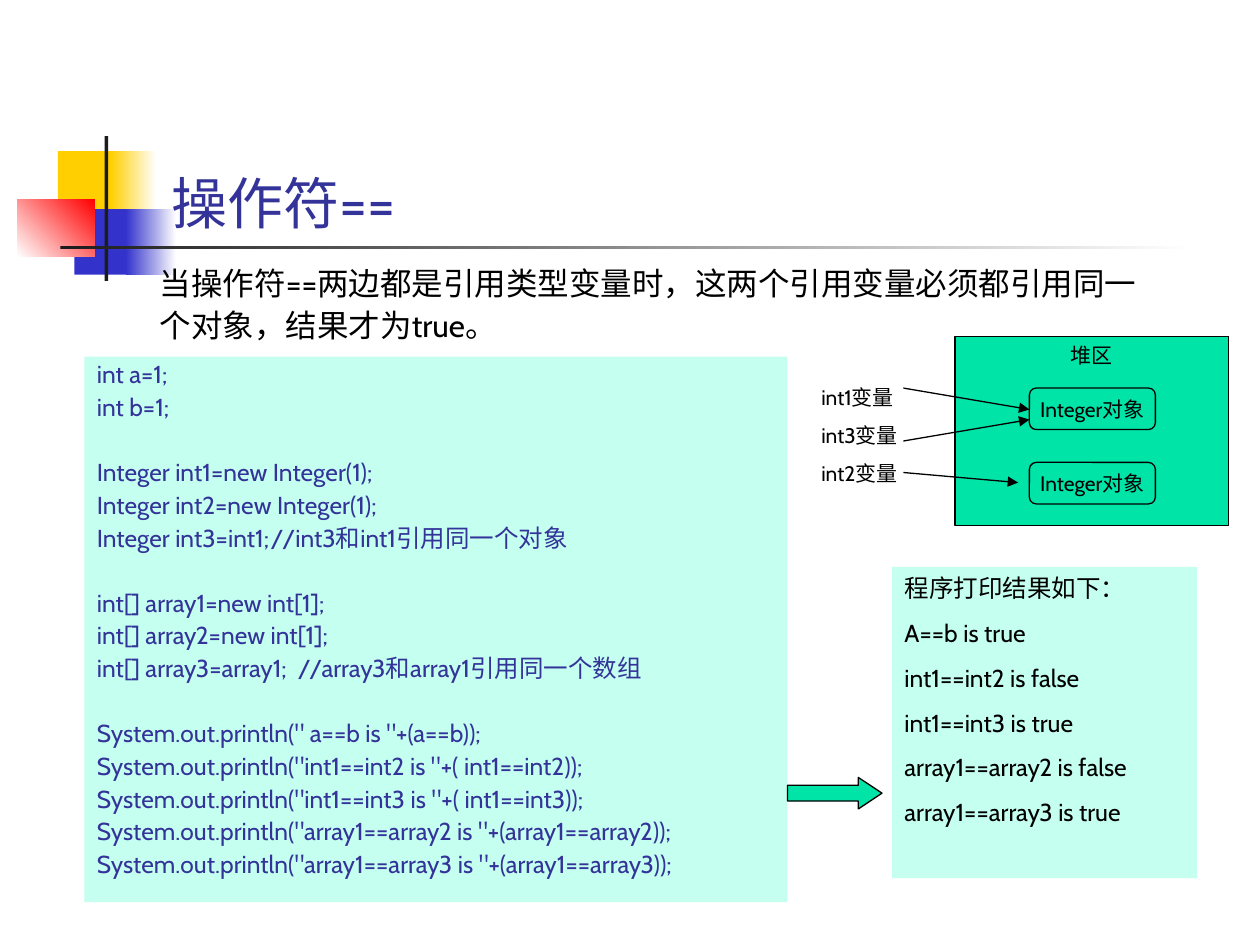
"""Build the slide on the == operator and reference variables."""
from dataclasses import dataclass
from typing import Optional

from lxml.etree import SubElement
from pptx import Presentation
from pptx.dml.color import RGBColor
from pptx.enum.shapes import MSO_CONNECTOR, MSO_SHAPE as SHAPE
from pptx.enum.text import MSO_ANCHOR as ANCHOR, PP_ALIGN as ALIGN
from pptx.oxml.ns import qn
from pptx.util import Inches, Pt

BLACK = RGBColor(0x00, 0x00, 0x00)
WHITE = RGBColor(0xFF, 0xFF, 0xFF)
CHARCOAL = RGBColor(0x1C, 0x1C, 0x1C)
YELLOW = RGBColor(0xFF, 0xCF, 0x01)
BLUE = RGBColor(0x33, 0x33, 0xCC)
RED = RGBColor(0xFF, 0x00, 0x00)
NAVY = RGBColor(0x33, 0x33, 0x99)
MINT = RGBColor(0xC5, 0xFF, 0xF0)
GREEN = RGBColor(0x00, 0xE4, 0xA8)
FONT = "Cabin"
LINE_PITCH = 18.7


@dataclass(frozen=True)
class Box:
    x: float
    y: float
    w: float
    h: float
    fill: Optional[RGBColor] = None
    fade: Optional[RGBColor] = None
    angle: float = 0
    outlined: bool = False
    kind: SHAPE = SHAPE.RECTANGLE


@dataclass(frozen=True)
class Style:
    size: float
    color: RGBColor = BLACK
    align: ALIGN = ALIGN.LEFT
    anchor: ANCHOR = ANCHOR.TOP
    before: float = 0
    spacing: Optional[float] = None
    wrap: bool = True
    hanging: float = 0
    tab: float = 0


@dataclass(frozen=True)
class Arrow:
    x1: float
    y1: float
    x2: float
    y2: float


ORNAMENTS = [
    Box(0.46, 1.2, 0.48, 0.52, YELLOW),
    Box(0.88, 1.2, 0.36, 0.52, YELLOW, WHITE),
    Box(0.59, 1.66, 0.46, 0.52, BLUE),
    Box(1, 1.66, 0.4, 0.52, BLUE, WHITE),
    Box(0.14, 1.58, 0.61, 0.46, WHITE, RED, 45),
    Box(0.83, 1.08, 0.03, 1.15, CHARCOAL),
    Box(0.48, 1.95, 9, 0.03, CHARCOAL, WHITE),
]
CODE = [
    ["int a=1;", "int b=1;"],
    ["Integer int1=new Integer(1);", "Integer int2=new Integer(1);",
     "Integer int3=int1;\t//int3和int1引用同一个对象"],
    ["int[] array1=new int[1];", "int[] array2=new int[1];",
     "int[] array3=array1;  //array3和array1引用同一个数组"],
    ['System.out.println(" a==b is "+(a==b));',
     'System.out.println("int1==int2 is "+( int1==int2));',
     'System.out.println("int1==int3 is "+( int1==int3));',
     'System.out.println("array1==array2 is "+(array1==array2));',
     'System.out.println("array1==array3 is "+(array1==array3));'],
]
RESULTS = ["程序打印结果如下：", "A==b is true", "int1==int2 is false",
           "int1==int3 is true", "array1==array2 is false", "array1==array3 is true"]
RULE = ["当操作符==两边都是引用类型变量时，这两个引用变量必须都引用同一",
        "个对象，结果才为true。"]
VARIABLES = ["int1变量", "int3变量", "int2变量"]
ARROWS = [Arrow(7.17, 3.08, 8.17, 3.25), Arrow(7.17, 3.5, 8.17, 3.33),
          Arrow(7.17, 3.75, 8.08, 3.83)]

TITLE_STYLE = Style(32, NAVY, anchor=ANCHOR.BOTTOM)
RULE_STYLE = Style(18, align=ALIGN.JUSTIFY, before=4.5, spacing=0.9)
CODE_STYLE = Style(14, NAVY, ALIGN.JUSTIFY, before=3.5, spacing=0.9, hanging=0.38, tab=1)
HEAP_STYLE = Style(12, align=ALIGN.CENTER, wrap=False)
OBJECT_STYLE = Style(12, align=ALIGN.CENTER, anchor=ANCHOR.MIDDLE, wrap=False)


def add_box(s, box: Box):
    """Add a box: a text box if it has no fill, else a preset shape."""
    area = [Inches(v) for v in (box.x, box.y, box.w, box.h)]
    if box.fill is None:
        return s.shapes.add_textbox(*area)
    sp = s.shapes.add_shape(box.kind, *area)
    sp.shadow.inherit = False
    if box.fade is None:
        sp.fill.solid()
        sp.fill.fore_color.rgb = box.fill
    else:
        sp.fill.gradient()
        sp.fill.gradient_angle = box.angle
        for stop, color in zip(sp.fill.gradient_stops, (box.fill, box.fade)):
            stop.color.rgb = color
    if box.outlined:
        sp.line.color.rgb = BLACK
        sp.line.width = Pt(0.75)
    else:
        sp.line.fill.background()
    return sp


def add_text(sp, groups: list[list[str]], style: Style) -> None:
    """Write groups of lines, with one line of space between groups."""
    tf = sp.text_frame
    tf.word_wrap = style.wrap
    tf.vertical_anchor = style.anchor
    lines = [(text, g > 0 and i == 0)
             for g, group in enumerate(groups) for i, text in enumerate(group)]
    for n, (text, opens_group) in enumerate(lines):
        p = tf.add_paragraph() if n else tf.paragraphs[0]
        p.alignment = style.align
        if style.spacing:
            p.line_spacing = style.spacing
        if n:
            p.space_before = Pt(style.before + LINE_PITCH * opens_group)
        if style.hanging:
            pPr = p._p.get_or_add_pPr()
            pPr.set("marL", str(Inches(style.hanging)))
            pPr.set("indent", str(-Inches(style.hanging)))
            tabs = SubElement(pPr, qn("a:tabLst"))
            SubElement(tabs, qn("a:tab"), pos=str(Inches(style.tab)), algn="l")
        r = p.add_run()
        r.text = text
        r.font.name = FONT
        r.font.size = Pt(style.size)
        r.font.color.rgb = style.color


def add_arrow(s, arrow: Arrow) -> None:
    """Add a thin black line with a triangle at its end."""
    ends = [Inches(v) for v in (arrow.x1, arrow.y1, arrow.x2, arrow.y2)]
    line = s.shapes.add_connector(MSO_CONNECTOR.STRAIGHT, *ends)
    line.line.color.rgb = BLACK
    line.line.width = Pt(0.75)
    SubElement(line.line._get_or_add_ln(), qn("a:tailEnd"), type="triangle")
    SubElement(line._element.spPr, qn("a:effectLst"))


def main() -> None:
    """Draw the slide and save it."""
    prs = Presentation()
    prs.slide_width, prs.slide_height = Inches(10), Inches(7.5)
    s = prs.slides.add_slide(prs.slide_layouts[6])
    for ornament in ORNAMENTS:
        add_box(s, ornament)
    add_text(add_box(s, Box(1.26, 0.67, 8.52, 1.25)), [["操作符=="]], TITLE_STYLE)
    add_text(add_box(s, Box(0.67, 2.83, 5.58, 4.33, MINT)), CODE, CODE_STYLE)
    add_text(add_box(s, Box(7.08, 4.5, 2.42, 2.47, MINT)), [RESULTS], Style(14, before=8.8))
    add_text(add_box(s, Box(1.17, 2.08, 8.17, 0.71)), [RULE], RULE_STYLE)
    pointer = add_box(s, Box(6.25, 6.17, 0.75, 0.25, GREEN, outlined=True,
                             kind=SHAPE.RIGHT_ARROW))
    pointer.adjustments[1] = 0.75
    heap = add_box(s, Box(7.58, 2.67, 2.17, 1.5, GREEN, outlined=True))
    add_text(heap, [["堆区"]], HEAP_STYLE)
    for y in (3.08, 3.67):
        sp = add_box(s, Box(8.17, y, 1, 0.33, GREEN, outlined=True,
                            kind=SHAPE.FLOWCHART_ALTERNATE_PROCESS))
        add_text(sp, [["Integer对象"]], OBJECT_STYLE)
    add_text(add_box(s, Box(6.42, 3, 1, 0.91)), [VARIABLES], Style(12, before=7.5))
    for arrow in ARROWS:
        add_arrow(s, arrow)
    prs.save("out.pptx")


if __name__ == "__main__":
    main()
